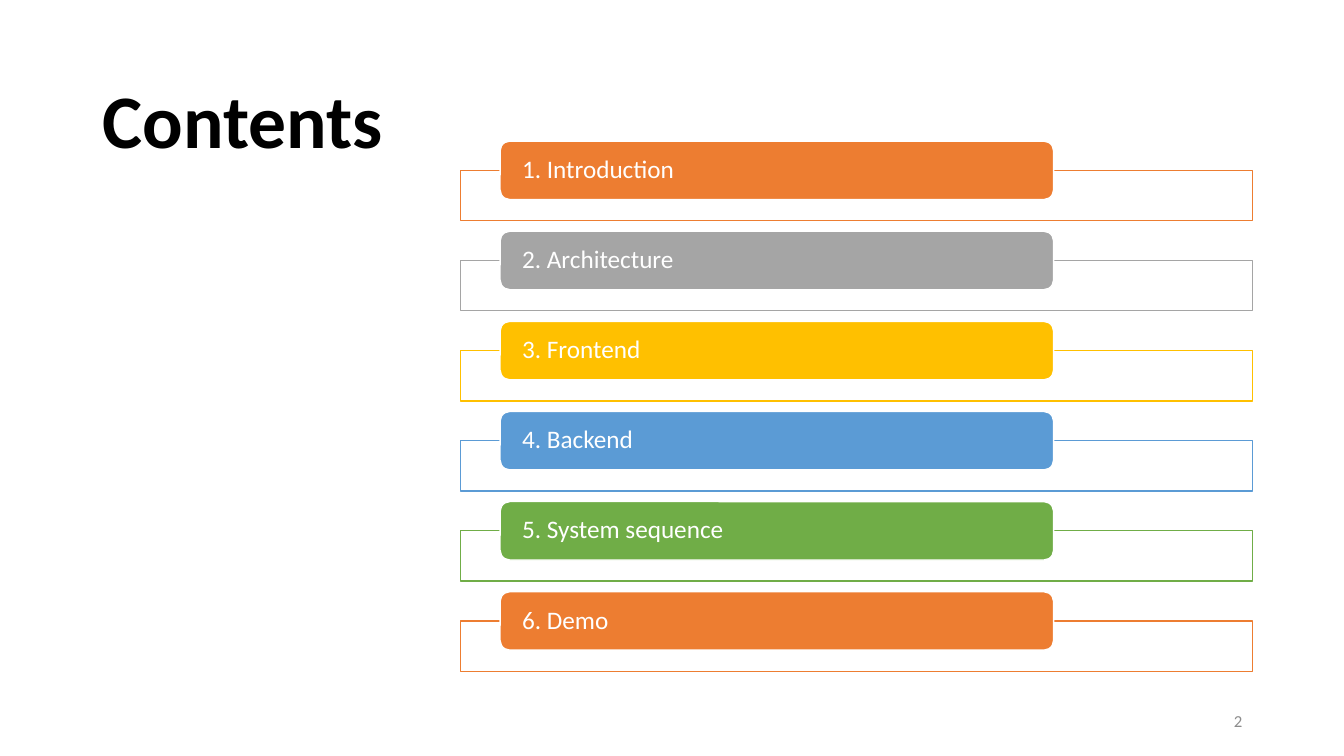
"""Build a contents slide with six coloured bars."""
from dataclasses import dataclass

from lxml.etree import SubElement
from pptx import Presentation
from pptx.dml.color import RGBColor as RGB
from pptx.enum.shapes import MSO_SHAPE as Shape
from pptx.enum.text import MSO_ANCHOR as Anchor, MSO_AUTO_SIZE as Fit, PP_ALIGN as Align
from pptx.oxml.ns import qn
from pptx.util import Inches, Pt

COLORS = {"orange": "ED7D31", "gray": "A5A5A5", "gold": "FFC000", "blue": "5B9BD5",
          "green": "70AD47", "white": "FFFFFF", "black": "000000", "page": "8C8C8C"}
TOP, LAST = 1.4, 5.87


@dataclass
class Topic:
    name: str
    color: str


TOPICS = [Topic("Introduction", "orange"), Topic("Architecture", "gray"),
          Topic("Frontend", "gold"), Topic("Backend", "blue"),
          Topic("System sequence", "green"), Topic("Demo", "orange")]


def place(shape, *box: float) -> None:
    """Set left, top, width and height in inches."""
    for name, value in zip(("left", "top", "width", "height"), box):
        setattr(shape, name, Inches(value))


def write(shape, text: str, size: float, color: str, align=Align.LEFT,
          bold: bool = False, inset: float = 0.1, space: float = 1.0) -> None:
    """Fill a shape with one formatted paragraph."""
    frame = shape.text_frame
    frame.text = text
    para = frame.paragraphs[0]
    formats = {
        frame: {"word_wrap": True, "auto_size": Fit.NONE, "vertical_anchor": Anchor.MIDDLE,
                "margin_left": Inches(inset), "margin_right": Inches(inset)},
        para: {"alignment": align, "line_spacing": space},
        para.runs[0].font: {"name": "Calibri", "size": Pt(size), "bold": bold},
    }
    for target, values in formats.items():
        for name, value in values.items():
            setattr(target, name, value)
    para.runs[0].font.color.rgb = RGB.from_string(COLORS[color])


def block(slide, kind, box: tuple, fill: str, line: str):
    """Add a filled and outlined preset shape."""
    shape = slide.shapes.add_shape(kind, *map(Inches, box))
    shape.shadow.inherit = False
    shape.fill.solid()
    shape.fill.fore_color.rgb = RGB.from_string(COLORS[fill])
    shape.line.color.rgb = RGB.from_string(COLORS[line])
    shape.line.width = Pt(1)
    return shape


def draw(slide, topic: Topic, index: int) -> None:
    """Draw the outline and the bar of one topic."""
    top = TOP + index * (LAST - TOP) / (len(TOPICS) - 1)
    frame = block(slide, Shape.RECTANGLE, (4.57, top + 0.29, 7.85, 0.5), "white", topic.color)
    tint = frame.fill._xPr.find(qn("a:solidFill"))[0]
    SubElement(tint, qn("a:alpha"), val="90000")
    bar = block(slide, Shape.ROUNDED_RECTANGLE, (4.96, top, 5.49, 0.58), topic.color, "white")
    write(bar, f"{index + 1}. {topic.name}", 18, "white", inset=0.19, space=0.9)


def main() -> None:
    """Build and save the deck."""
    deck = Presentation()
    deck.slide_width, deck.slide_height = Inches(13.33), Inches(7.5)
    slide = deck.slides.add_slide(deck.slide_layouts[5])
    title = slide.shapes.title
    place(title, 0.92, 0.61, 11.5, 1.24)
    write(title, "Contents", 54, "black", bold=True, space=0.9)
    for index, topic in enumerate(TOPICS):
        draw(slide, topic, index)
    page = slide.shapes.add_textbox(*map(Inches, (9.42, 6.95, 3, 0.4)))
    write(page, "2", 12, "page", align=Align.RIGHT)
    deck.save("out.pptx")


main()
